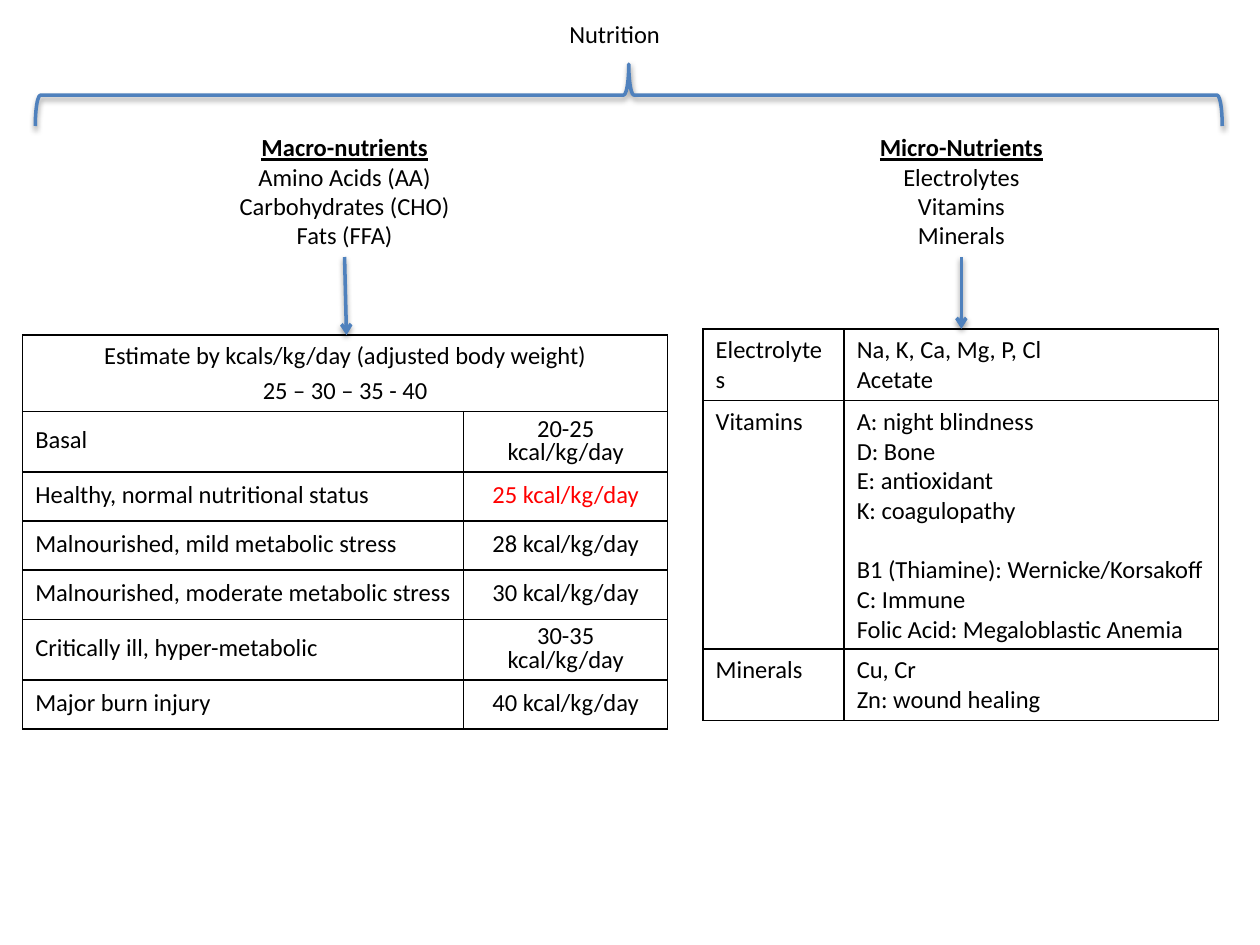
from dataclasses import dataclass
from typing import Optional

from lxml.etree import SubElement as Sub
from pptx import Presentation
from pptx.dml.color import RGBColor as RGB
from pptx.enum.shapes import MSO_CONNECTOR as CXN, MSO_SHAPE as SHAPE
from pptx.enum.text import MSO_ANCHOR as ANCHOR, MSO_AUTO_SIZE as FIT, PP_ALIGN as ALIGN
from pptx.oxml.ns import qn
from pptx.util import Inches, Pt

COLS, ROWS, UNIT = 100, 75, 0.1


@dataclass(frozen=True)
class Theme:
    font: str = "Calibri"
    size: float = 14
    text: str = "000000"
    alert: str = "FF0000"
    accent: str = "4F81BD"
    border: str = "000000"
    line: float = 2
    rule: float = 1


T = Theme()


@dataclass(frozen=True)
class Para:
    text: str
    align: Optional[ALIGN] = None
    color: str = T.text
    heading: bool = False
    before: float = 0
    spacing: Optional[float] = None


def grid(n):
    return Inches(round(n * UNIT, 3))


def add_paras(tf, paras):
    for i, para in enumerate(paras):
        p = tf.paragraphs[0] if i == 0 else tf.add_paragraph()
        p.alignment = para.align
        if para.spacing:
            p.line_spacing = para.spacing
        if para.before:
            p.space_before = Pt(para.before)
        r = p.add_run()
        r.text = para.text
        r.font.name, r.font.size = T.font, Pt(T.size)
        r.font.bold = r.font.underline = para.heading
        r.font.color.rgb = RGB.from_string(para.color)


def add_label(slide, at, paras):
    sp = slide.shapes.add_textbox(*map(grid, at))
    tf = sp.text_frame
    tf.word_wrap = False
    tf.auto_size = FIT.SHAPE_TO_FIT_TEXT
    add_paras(tf, paras)
    return sp


def add_group(slide, at, title, items):
    return add_label(slide, at, [Para(title, ALIGN.CENTER, heading=True)]
                     + [Para(s, ALIGN.CENTER) for s in items])


def style_line(sp):
    sp.line.color.rgb = RGB.from_string(T.accent)
    sp.line.width = Pt(T.line)
    effects = Sub(sp._element.spPr, qn("a:effectLst"))
    shadow = Sub(effects, qn("a:outerShdw"), blurRad="40000", dist="20000",
                 dir="5400000", rotWithShape="0")
    color = Sub(shadow, qn("a:srgbClr"), val="000000")
    Sub(color, qn("a:alpha"), val="38000")


def add_brace(slide, left, top, width, height):
    x = left + (width - height) / 2
    y = top + (height - width) / 2
    sp = slide.shapes.add_shape(SHAPE.LEFT_BRACE, *map(grid, (x, y, height, width)))
    sp.rotation = 90
    sp.fill.background()
    style_line(sp)


def add_arrow(slide, source, x, y):
    cx = slide.shapes.add_connector(CXN.STRAIGHT, grid(x), grid(y), grid(x), grid(y))
    cx.begin_connect(source, 2)
    style_line(cx)
    Sub(cx.line._get_or_add_ln(), qn("a:tailEnd"), type="arrow")


def style_cell(cell):
    tcPr = cell._tc.get_or_add_tcPr()
    for side in ("lnL", "lnR", "lnT", "lnB"):
        ln = Sub(tcPr, qn(f"a:{side}"), w=str(Pt(T.rule)))
        Sub(Sub(ln, qn("a:solidFill")), qn("a:srgbClr"), val=T.border)
    cell.fill.background()


def add_grid_table(slide, left, top, widths, heights, rows, anchor):
    frame = slide.shapes.add_table(len(heights), len(widths), grid(left), grid(top),
                                   grid(sum(widths)), grid(sum(heights)))
    table = frame.table
    table.first_row = table.horz_banding = False
    for col, w in zip(table.columns, widths):
        col.width = grid(w)
    for row, h in zip(table.rows, heights):
        row.height = grid(h)
    for i, row in enumerate(rows):
        if len(row) < len(widths):
            table.cell(i, 0).merge(table.cell(i, len(widths) - 1))
        for j in range(len(widths)):
            cell = table.cell(i, j)
            style_cell(cell)
            cell.vertical_anchor = anchor
            if j < len(row):
                add_paras(cell.text_frame, row[j])


def calorie_row(state, rate, color=T.text):
    return [[Para(state, spacing=0.8)],
            [Para(f"{rate} kcal/kg/day", ALIGN.CENTER, color, spacing=0.8)]]


def micro_row(name, *items):
    return [[Para(name)], [s if isinstance(s, Para) else Para(s) for s in items]]


def main():
    prs = Presentation()
    prs.slide_width, prs.slide_height = grid(COLS), grid(ROWS)
    slide = prs.slides.add_slide(prs.slide_layouts[6])

    add_label(slide, (44.2, 1, 9.3, 3.4), [Para("Nutrition")])
    macro = add_group(slide, (17.9, 10, 18.9, 10.4), "Macro-nutrients",
                      ["Amino Acids (AA)", "Carbohydrates (CHO)", "Fats (FFA)"])
    micro = add_group(slide, (68.7, 10, 15.2, 10.4), "Micro-Nutrients",
                      ["Electrolytes", "Vitamins", "Minerals"])
    add_brace(slide, 2.8, 5.1, 94.2, 4.9)

    header = [[Para("Estimate by kcals/kg/day (adjusted body weight)", ALIGN.CENTER),
               Para("25 – 30 – 35 - 40", ALIGN.CENTER, before=0.2 * T.size)]]
    calories = [
        header,
        calorie_row("Basal", "20-25"),
        calorie_row("Healthy, normal nutritional status", "25", T.alert),
        calorie_row("Malnourished, mild metabolic stress", "28"),
        calorie_row("Malnourished, moderate metabolic stress", "30"),
        calorie_row("Critically ill, hyper-metabolic", "30-35"),
        calorie_row("Major burn injury", "40"),
    ]
    add_grid_table(slide, 1.8, 26.6, (35, 16.2), (6, 4.8, 3.9, 3.9, 3.9, 4.8, 3.9),
                   calories, ANCHOR.MIDDLE)
    add_arrow(slide, macro, 27.5, 26.6)

    nutrients = [
        micro_row("Electrolytes", "Na, K, Ca, Mg, P, Cl", "Acetate"),
        micro_row("Vitamins", "A: night blindness", "D: Bone", "E: antioxidant",
                  "K: coagulopathy",
                  Para("B1 (Thiamine): Wernicke/Korsakoff", before=1.2 * T.size),
                  "C: Immune", "Folic Acid: Megaloblastic Anemia"),
        micro_row("Minerals", "Cu, Cr", "Zn: wound healing"),
    ]
    add_grid_table(slide, 55.8, 26.1, (11.2, 29.7), (5.7, 19.7, 5.7),
                   nutrients, ANCHOR.TOP)
    add_arrow(slide, micro, 76.3, 26.1)

    prs.save("out.pptx")


if __name__ == "__main__":
    main()
